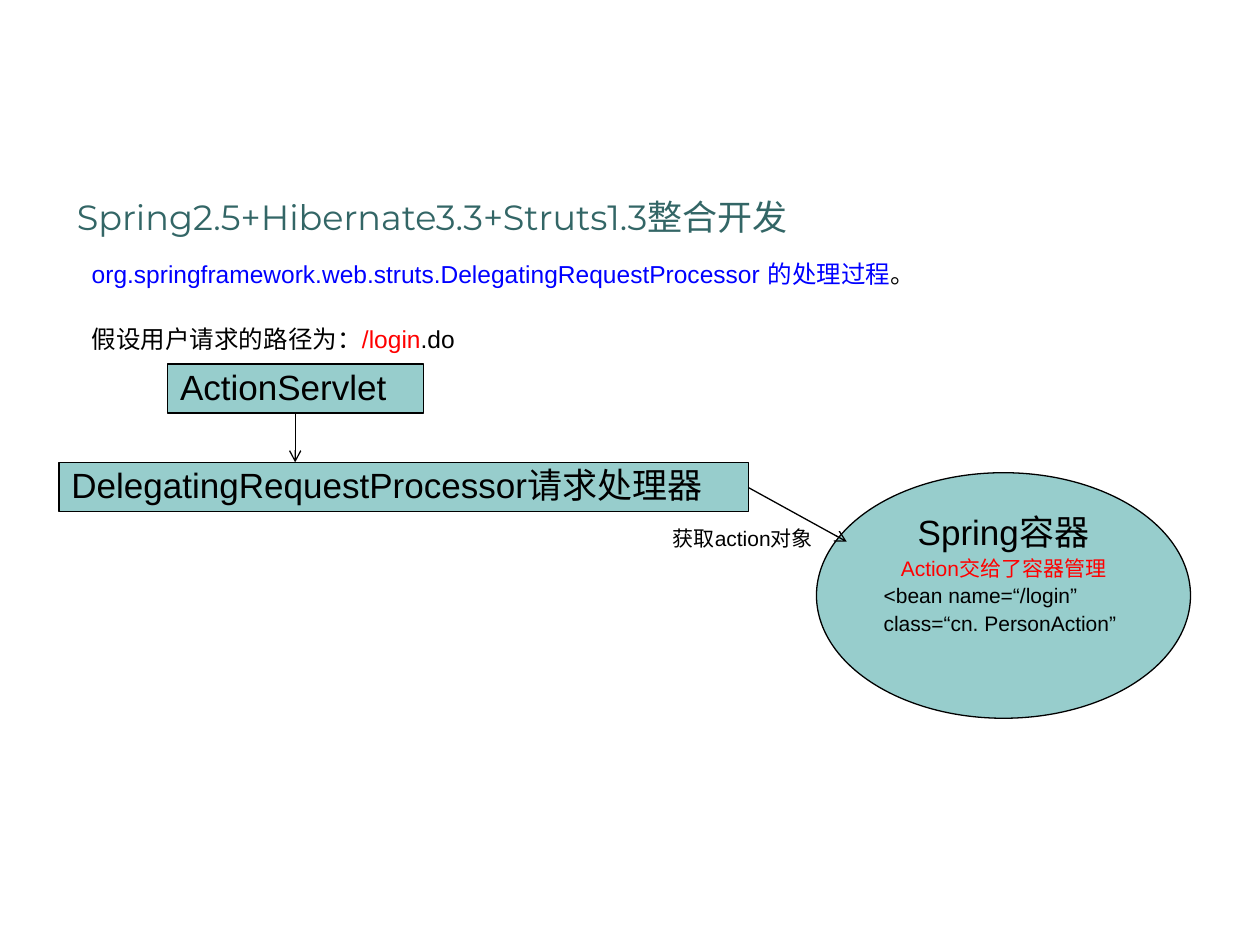
from pptx import Presentation
from pptx.dml.color import RGBColor
from pptx.enum import shapes, text
from pptx.oxml import ns
from pptx.util import Cm, Pt
from lxml import etree

BLACK, RED, BLUE, TEAL, AQUA = "000000", "FF0000", "0000FF", "336666", "97CDCC"
CENTER = text.PP_ALIGN.CENTER
HANG = 0.95


def rgb(value):
    return RGBColor.from_string(value)


def run(content, size=20, color=BLACK, font="Arial"):
    """Describe one run of text with its format."""
    return content, size, color, font


def para(*runs, before=0, align=None, hang=0, spacing=0.9):
    """Describe one paragraph made of runs."""
    return runs, before, align, hang, spacing


class Builder:
    """Holds the shared style and the current slide."""

    fill, line, width = AQUA, BLACK, Pt(0.75)

    def __init__(self, slide):
        self.s = slide

    def add_paras(self, tf, paras, anchor):
        tf.word_wrap = True
        tf.vertical_anchor = anchor
        for i, (runs, before, align, hang, spacing) in enumerate(paras):
            p = tf.paragraphs[0] if i == 0 else tf.add_paragraph()
            p.alignment = align or text.PP_ALIGN.LEFT
            p.space_before, p.line_spacing = Pt(before), spacing
            if hang:
                pPr = p._p.get_or_add_pPr()
                pPr.set("marL", str(Cm(hang)))
                pPr.set("indent", str(-Cm(hang)))
            for content, size, color, font in runs:
                r = p.add_run()
                r.text = content
                r.font.size, r.font.name = Pt(size), font
                r.font.color.rgb = rgb(color)

    def text(self, box, *paras, anchor=text.MSO_ANCHOR.TOP):
        sp = self.s.shapes.add_textbox(*map(Cm, box))
        self.add_paras(sp.text_frame, paras, anchor)

    def shape(self, kind, box, *paras):
        sp = self.s.shapes.add_shape(kind, *map(Cm, box))
        sp.shadow.inherit = False
        sp.fill.solid()
        sp.fill.fore_color.rgb = rgb(self.fill)
        sp.line.color.rgb = rgb(self.line)
        sp.line.width = self.width
        self.add_paras(sp.text_frame, paras, text.MSO_ANCHOR.TOP)

    def arrow(self, *ends):
        c = self.s.shapes.add_connector(shapes.MSO_CONNECTOR.STRAIGHT, *map(Cm, ends))
        c.line.color.rgb = rgb(self.line)
        c.line.width = self.width
        spPr = c._element.spPr
        etree.SubElement(spPr.get_or_add_ln(), ns.qn("a:tailEnd"), type="arrow")
        etree.SubElement(spPr, ns.qn("a:effectLst"))


def main():
    prs = Presentation()
    prs.slide_width, prs.slide_height = Cm(25.4), Cm(19.05)
    b = Builder(prs.slides.add_slide(prs.slide_layouts[6]))
    rect, oval = shapes.MSO_SHAPE.RECTANGLE, shapes.MSO_SHAPE.OVAL

    b.text((1.3, 3.12, 22.6, 1.8),
           para(run("Spring2.5+Hibernate3.3+Struts1.3整合开发", color=TEAL, font="Montserrat"),
                spacing=1.0),
           anchor=text.MSO_ANCHOR.BOTTOM)
    b.text((1.6, 5.16, 23, 3.23),
           para(run("org.springframework.web.struts.DelegatingRequestProcessor 的处理过程", 14, BLUE),
                run("。", 14), before=3.5),
           para(run("假设用户请求的路径为：", 14), run("/login", 14, RED),
                run(".do", 14), before=22))

    b.shape(rect, (3.38, 7.34, 5.16, 0.99),
            para(run("ActionServlet"), before=5, hang=HANG))
    b.shape(rect, (1.19, 9.32, 13.9, 0.99),
            para(run("DelegatingRequestProcessor请求处理器"), before=5, hang=HANG))
    b.shape(oval, (16.46, 9.53, 7.54, 4.95),
            para(run("Spring容器"), before=5, align=CENTER, hang=HANG),
            para(run("Action交给了容器管理", 12, RED), before=3, align=CENTER, hang=HANG),
            *(para(run(code, 12), before=3, hang=HANG)
              for code in ("<bean name=“/login”", "class=“cn. PersonAction”")))

    b.arrow(15.09, 9.83, 17.07, 10.92)
    b.arrow(5.95, 8.33, 5.95, 9.32)
    b.text((12.5, 10.52, 4.95, 0.71),
           para(run("获取action对象", 12), before=3, align=CENTER))

    prs.save("out.pptx")


if __name__ == "__main__":
    main()
